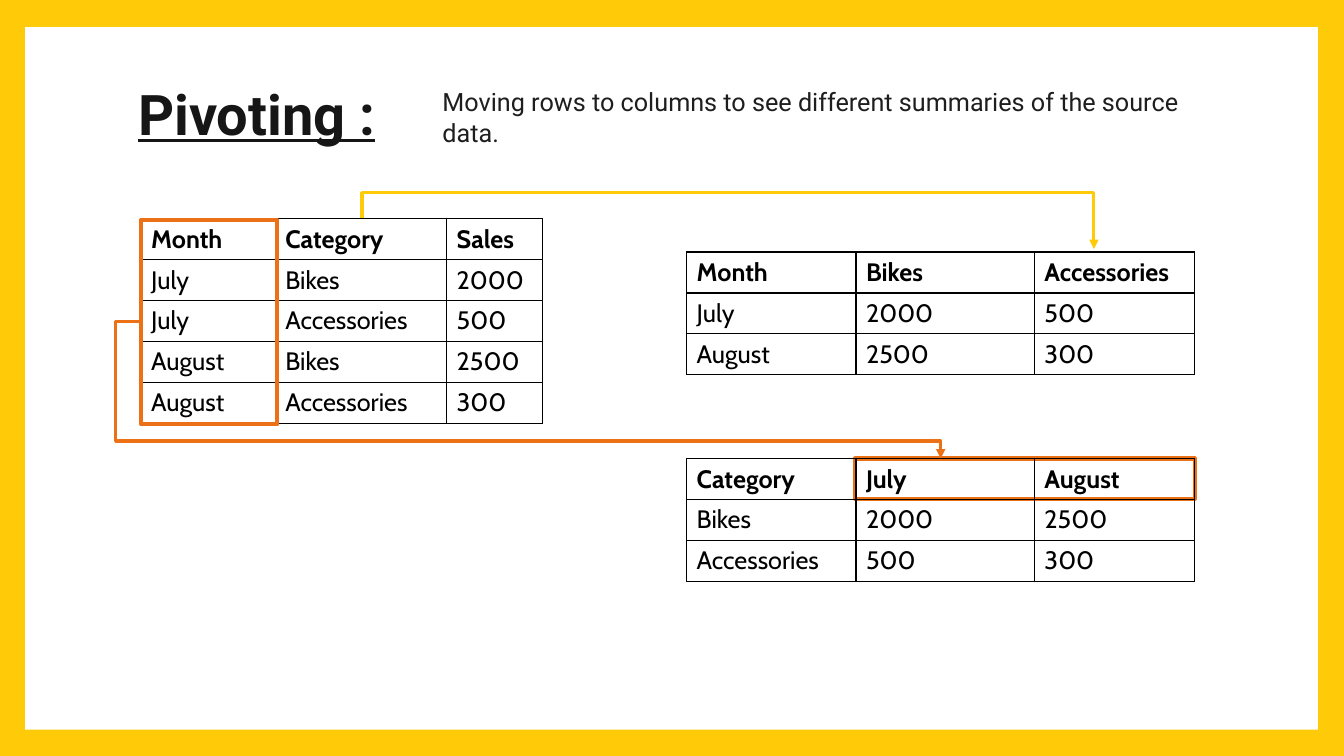
from lxml import etree
from pptx import Presentation
from pptx.dml.color import RGBColor
from pptx.enum.shapes import MSO_CONNECTOR, MSO_SHAPE
from pptx.enum.text import MSO_ANCHOR, PP_ALIGN
from pptx.oxml.ns import qn
from pptx.util import Inches, Pt

YELLOW = RGBColor(0xFF, 0xCA, 0x08)
ORANGE = RGBColor(0xEC, 0x70, 0x16)
WHITE = RGBColor(0xFF, 0xFF, 0xFF)
BLACK = RGBColor(0, 0, 0)
TITLE_INK = RGBColor(0x16, 0x16, 0x16)
BODY_INK = RGBColor(0x1E, 0x1E, 0x1E)

RECT = MSO_SHAPE.RECTANGLE
ELBOW = MSO_CONNECTOR.ELBOW
LEFT = PP_ALIGN.LEFT
MIDDLE = MSO_ANCHOR.MIDDLE

ROW_H = 0.406
SOURCE_COLS = [1.33, 1.7, 0.95]
PIVOT_COLS = [1.68, 1.77, 1.59]

SOURCE = [
    ["Month", "Category", "Sales"],
    ["July", "Bikes", "2000"],
    ["July", "Accessories", "500"],
    ["August", "Bikes", "2500"],
    ["August", "Accessories", "300"],
]
BY_CATEGORY = [
    ["Month", "Bikes", "Accessories"],
    ["July", "2000", "500"],
    ["August", "2500", "300"],
]
BY_MONTH = [
    ["Category", "July", "August"],
    ["Bikes", "2000", "2500"],
    ["Accessories", "500", "300"],
]


def write(tf, text, color, **font):
    p = tf.paragraphs[0]
    p.alignment = LEFT
    r = p.add_run()
    r.text = text
    r.font.color.rgb = color
    for name, value in font.items():
        setattr(r.font, name, value)
    return p


def add_rect(s, x, y, w, h, fill=None, line=None):
    sp = s.shapes.add_shape(RECT, *map(Inches, (x, y, w, h)))
    sp.shadow.inherit = False
    if fill is None:
        sp.fill.background()
    else:
        sp.fill.solid()
        sp.fill.fore_color.rgb = fill
    if line is None:
        sp.line.fill.background()
    else:
        sp.line.color.rgb = line
        sp.line.width = Pt(3)
    return sp


def add_frame(s, x, y, w, h):
    s.background.fill.solid()
    s.background.fill.fore_color.rgb = YELLOW
    panel = add_rect(s, x, y, w, h, fill=WHITE)
    s.shapes._spTree.insert(2, panel._element)


def add_heading(s, x, y):
    title = s.shapes.title
    box = dict(left=x, top=y, width=4.11, height=1.14)
    for name, value in box.items():
        setattr(title, name, Inches(value))
    title.text_frame.vertical_anchor = MIDDLE
    p = write(title.text_frame, "Pivoting :", TITLE_INK, name="Roboto",
              size=Pt(40), bold=True, underline=True)
    p.line_spacing = 0.9


def add_definition(s, x, y, w, h):
    tf = s.shapes.add_textbox(*map(Inches, (x, y, w, h))).text_frame
    tf.word_wrap = True
    write(tf, "Moving rows to columns to see different summaries of the source data.",
          BODY_INK, name="Roboto", size=Pt(18))


def add_borders(cell):
    tcPr = cell._tc.get_or_add_tcPr()
    for side in ("lnL", "lnR", "lnT", "lnB"):
        ln = etree.SubElement(tcPr, qn("a:" + side), w=str(Pt(1)))
        fill = etree.SubElement(ln, qn("a:solidFill"))
        etree.SubElement(fill, qn("a:srgbClr"), val=str(BLACK))


def add_grid(s, x, y, cols, rows):
    box = (x, y, sum(cols), ROW_H * len(rows))
    table = s.shapes.add_table(len(rows), len(cols), *map(Inches, box)).table
    table.first_row = table.horz_banding = False
    for col, width in zip(table.columns, cols):
        col.width = Inches(width)
    for i, row in enumerate(rows):
        table.rows[i].height = Inches(ROW_H)
        for j, text in enumerate(row):
            cell = table.cell(i, j)
            add_borders(cell)
            cell.fill.background()
            write(cell.text_frame, text, BLACK, name="Cabin", size=Pt(18), bold=i == 0)


def add_bent_arrow(s, start, end, color, preset, adjusts, upward=False):
    (x1, y1), (x2, y2) = start, end
    if upward:
        cx, cy = (x1 + x2) / 2, (y1 + y2) / 2
        dx, dy = (x2 - x1) / 2, (y2 - y1) / 2
        x1, y1, x2, y2 = cx + dy, cy - dx, cx - dy, cy + dx
    cxn = s.shapes.add_connector(ELBOW, *map(Inches, (x1, y1, x2, y2)))
    cxn.line.color.rgb = color
    cxn.line.width = Pt(2.25)
    spPr = cxn._element.spPr
    if upward:
        spPr.find(qn("a:xfrm")).set("rot", str(270 * 60000))
    geom = spPr.find(qn("a:prstGeom"))
    geom.set("prst", preset)
    guides = geom.find(qn("a:avLst"))
    for name, value in adjusts.items():
        etree.SubElement(guides, qn("a:gd"), name=name, fmla=f"val {value}")
    etree.SubElement(spPr.find(qn("a:ln")), qn("a:tailEnd"), type="triangle")
    etree.SubElement(spPr, qn("a:effectLst"))


def main():
    prs = Presentation()
    prs.slide_width, prs.slide_height = Inches(13.33), Inches(7.5)
    s = prs.slides.add_slide(prs.slide_layouts[5])
    add_frame(s, 0.25, 0.27, 12.82, 6.97)
    add_heading(s, 1.27, 0.59)
    add_grid(s, 1.4, 2.17, SOURCE_COLS, SOURCE)
    add_grid(s, 6.81, 2.5, PIVOT_COLS, BY_CATEGORY)
    add_rect(s, 1.4, 2.18, 1.35, 2.03, line=ORANGE)
    add_rect(s, 8.48, 4.55, 3.37, 0.4, line=ORANGE)
    add_bent_arrow(s, (3.59, 2.16), (10.85, 2.47), YELLOW,
                   "bentConnector3", {"adj1": -80400}, upward=True)
    add_grid(s, 6.81, 4.55, PIVOT_COLS, BY_MONTH)
    add_bent_arrow(s, (1.4, 3.19), (9.33, 4.55), ORANGE,
                   "bentConnector4", {"adj1": -3200, "adj2": 87200})
    add_definition(s, 4.29, 0.81, 7.58, 0.71)
    prs.save("out.pptx")


if __name__ == "__main__":
    main()
